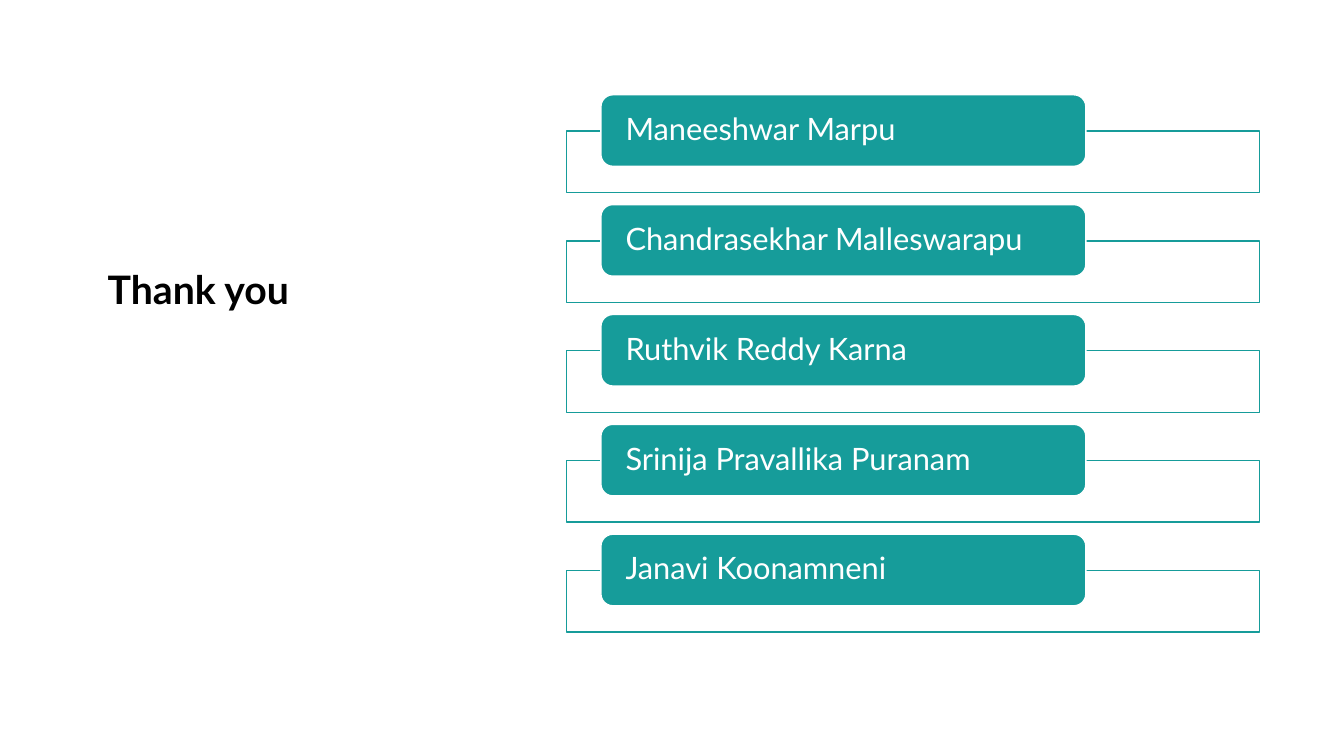
"""Build a closing slide with a thank-you title and five framed name labels."""
from dataclasses import dataclass

from lxml import etree
from pptx import Presentation
from pptx.dml.color import RGBColor
from pptx.enum.shapes import MSO_SHAPE
from pptx.enum.text import MSO_ANCHOR, PP_ALIGN
from pptx.oxml.ns import qn
from pptx.util import Inches, Pt

RECTANGLE = MSO_SHAPE.RECTANGLE
ROUNDED = MSO_SHAPE.ROUNDED_RECTANGLE
MIDDLE, TOP = MSO_ANCHOR.MIDDLE, MSO_ANCHOR.TOP
LEFT = PP_ALIGN.LEFT


@dataclass(frozen=True)
class Theme:
    font: str = "Lato"
    teal: RGBColor = RGBColor(0x16, 0x9C, 0x9A)
    white: RGBColor = RGBColor(0xFF, 0xFF, 0xFF)
    black: RGBColor = RGBColor(0x00, 0x00, 0x00)
    title_size: int = 28
    name_size: int = 22
    line_width: int = 1


theme = Theme()

NAMES = [
    "Maneeshwar Marpu",
    "Chandrasekhar Malleswarapu",
    "Ruthvik Reddy Karna",
    "Srinija Pravallika Puranam",
    "Janavi Koonamneni",
]
FIRST_ROW, ROW_PITCH = 0.94, 1.09
FRAME_LEFT, FRAME_WIDTH, FRAME_HEIGHT, FRAME_DROP = 5.62, 6.87, 0.61, 0.36
LABEL_LEFT, LABEL_WIDTH, LABEL_HEIGHT, LABEL_INSET = 5.96, 4.81, 0.71, 0.21


def add_box(slide, kind, box, fill, line):
    shape = slide.shapes.add_shape(kind, *(Inches(length) for length in box))
    shape.shadow.inherit = False
    shape.fill.solid()
    shape.fill.fore_color.rgb = fill
    shape.line.color.rgb = line
    shape.line.width = Pt(theme.line_width)
    return shape


def write(shape, text, size, color, anchor, bold=False):
    frame = shape.text_frame
    frame.word_wrap = True
    frame.vertical_anchor = anchor
    paragraph = frame.paragraphs[0]
    paragraph.alignment = LEFT
    paragraph.line_spacing = 0.9
    run = paragraph.add_run()
    run.text = text
    run.font.name = theme.font
    run.font.size = Pt(size)
    run.font.bold = bold
    run.font.color.rgb = color


presentation = Presentation()
presentation.slide_width = Inches(13.33)
presentation.slide_height = Inches(7.5)
slide = presentation.slides.add_slide(presentation.slide_layouts[6])

title = slide.shapes.add_textbox(Inches(0.97), Inches(2.64), Inches(3.93), Inches(1.92))
write(title, "Thank you", theme.title_size, theme.black, TOP, bold=True)

for row, name in enumerate(NAMES):
    top = FIRST_ROW + row * ROW_PITCH
    frame_box = (FRAME_LEFT, top + FRAME_DROP, FRAME_WIDTH, FRAME_HEIGHT)
    frame = add_box(slide, RECTANGLE, frame_box, theme.white, theme.teal)
    frame_color = frame.fill._xPr.find(qn("a:solidFill")).find(qn("a:srgbClr"))
    etree.SubElement(frame_color, qn("a:alpha"), val="90000")

    label_box = (LABEL_LEFT, top, LABEL_WIDTH, LABEL_HEIGHT)
    label = add_box(slide, ROUNDED, label_box, theme.teal, theme.white)
    label.text_frame.margin_left = label.text_frame.margin_right = Inches(LABEL_INSET)
    label.text_frame.margin_top = label.text_frame.margin_bottom = 0
    write(label, name, theme.name_size, theme.white, MIDDLE)

presentation.save("out.pptx")
